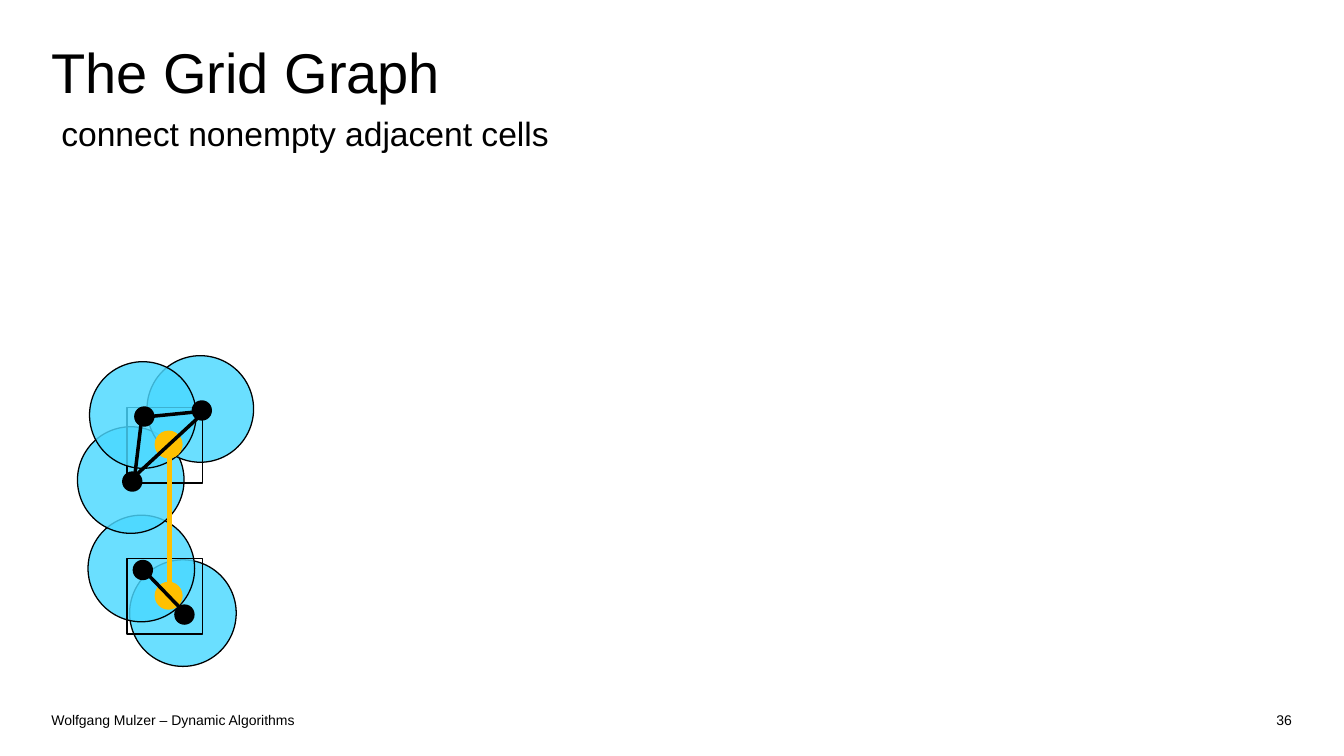
from lxml import etree
from pptx import Presentation
from pptx.dml.color import RGBColor
from pptx.enum.shapes import MSO_CONNECTOR, MSO_SHAPE
from pptx.enum.text import MSO_ANCHOR, MSO_AUTO_SIZE, PP_ALIGN
from pptx.oxml.ns import qn
from pptx.util import Inches, Pt

OVAL, SQUARE = MSO_SHAPE.OVAL, MSO_SHAPE.RECTANGLE
STRAIGHT = MSO_CONNECTOR.STRAIGHT
LEFT, RIGHT = PP_ALIGN.LEFT, PP_ALIGN.RIGHT
TOP, MIDDLE = MSO_ANCHOR.TOP, MSO_ANCHOR.MIDDLE
TITLE_ONLY = 5

COLORS = {"ink": "000000", "disk": "4AD8FF", "mark": "FFC000"}
FONT = "Arial"

# The page grid has ten rows; one grid unit is also the side of a cell.
WIDTH, HEIGHT = Inches(13.333), Inches(7.5)
UNIT = HEIGHT / 10
MARGIN = 0.68

DISK_SIZE, POINT_SIZE, MARK_SIZE = 1.41, 0.27, 0.37
DISK_SHIFT = 0.02
UPPER_CELL, LOWER_CELL = (1.68, 5.39), (1.68, 7.39)
MARK_OFFSET = (0.55, 0.49)
LOWER_RIGHT, LOWER_LEFT = (2.44, 8.13), (1.89, 7.54)
UPPER_LOW, UPPER_RIGHT, UPPER_LEFT = (1.75, 6.37), (2.67, 5.43), (1.91, 5.51)

EDGES = [
    ((1.88, 5.52), (2.68, 5.44), "ink", 2.5),
    ((1.77, 6.4), (1.88, 5.49), "ink", 2.5),
    ((2.41, 8.07), (1.87, 7.51), "ink", 2.5),
    ((2.24, 7.77), (2.24, 5.84), "mark", 4),
    ((1.75, 6.33), (2.67, 5.48), "ink", 2.5),
]


def color(name):
    return RGBColor.from_string(COLORS[name])


def grid(*units):
    return [round(unit * UNIT) for unit in units]


def write(box, text, size, align=LEFT, anchor=TOP, inset=0):
    frame = box.text_frame
    frame.word_wrap = True
    frame.auto_size = MSO_AUTO_SIZE.NONE
    frame.vertical_anchor = anchor
    frame.margin_left = frame.margin_right = Inches(inset)
    frame.margin_top = frame.margin_bottom = Inches(inset / 2)
    para = frame.paragraphs[0]
    para.text = text
    para.alignment = align
    para.font.name = FONT
    para.font.size = Pt(size)
    para.font.color.rgb = color("ink")


def add_text(page, place, text, size, **style):
    write(page.shapes.add_textbox(*grid(*place)), text, size, **style)


def add_figure(page, kind, left, top, size, fill=None, line_width=None):
    figure = page.shapes.add_shape(kind, *grid(left, top, size, size))
    figure.shadow.inherit = False
    if fill:
        figure.fill.solid()
        figure.fill.fore_color.rgb = color(fill)
    else:
        figure.fill.background()
    if line_width:
        figure.line.color.rgb = color("ink")
        figure.line.width = Pt(line_width)
    else:
        figure.line.fill.background()
    return figure


def add_circle(page, center, size, fill, line_width=None):
    left, top = (value - size / 2 for value in center)
    return add_figure(page, OVAL, left, top, size, fill, line_width)


def add_disk(page, point):
    """Draw the translucent disk around a point."""
    center = [value - DISK_SHIFT for value in point]
    disk = add_circle(page, center, DISK_SIZE, "disk", 0.9)
    tint = disk.fill._xPr.find(qn("a:solidFill"))[0]
    etree.SubElement(tint, qn("a:alpha"), val="82000")


def add_point(page, point):
    add_circle(page, point, POINT_SIZE, "ink")


def add_mark(page, cell):
    center = [start + step for start, step in zip(cell, MARK_OFFSET)]
    add_circle(page, center, MARK_SIZE, "mark")


def add_edge(page, start, end, line_color, width):
    edge = page.shapes.add_connector(STRAIGHT, *grid(*start, *end))
    edge.line.color.rgb = color(line_color)
    edge.line.width = Pt(width)
    etree.SubElement(edge._element.spPr, qn("a:effectLst"))


def add_graph(page):
    for point in (LOWER_RIGHT, LOWER_LEFT, UPPER_LOW, UPPER_RIGHT):
        add_disk(page, point)
    for cell in (LOWER_CELL, UPPER_CELL):
        add_figure(page, SQUARE, *cell, 1, line_width=1.08)
    add_point(page, UPPER_LOW)
    add_disk(page, UPPER_LEFT)
    for point in (UPPER_LEFT, UPPER_RIGHT, LOWER_RIGHT, LOWER_LEFT):
        add_point(page, point)
    for cell in (UPPER_CELL, LOWER_CELL):
        add_mark(page, cell)
    for edge in EDGES:
        add_edge(page, *edge)


def main():
    deck = Presentation()
    deck.slide_width, deck.slide_height = WIDTH, HEIGHT
    page = deck.slides.add_slide(deck.slide_layouts[TITLE_ONLY])

    title = page.shapes.title
    title.left, title.top, title.width, title.height = grid(MARGIN, 0.49, 16.41, 2.05)
    write(title, "The Grid Graph", 40)
    add_text(page, (MARGIN, 1.43, 6.83, 0.67), "connect nonempty adjacent cells", 24, inset=0.1)
    add_graph(page)
    add_text(page, (MARGIN, 9.32, 14.36, 0.41), "Wolfgang Mulzer – Dynamic Algorithms", 10, anchor=MIDDLE)
    add_text(page, (15.04, 9.32, 2.05, 0.41), "36", 10, align=RIGHT, anchor=MIDDLE)

    deck.save("out.pptx")


if __name__ == "__main__":
    main()
